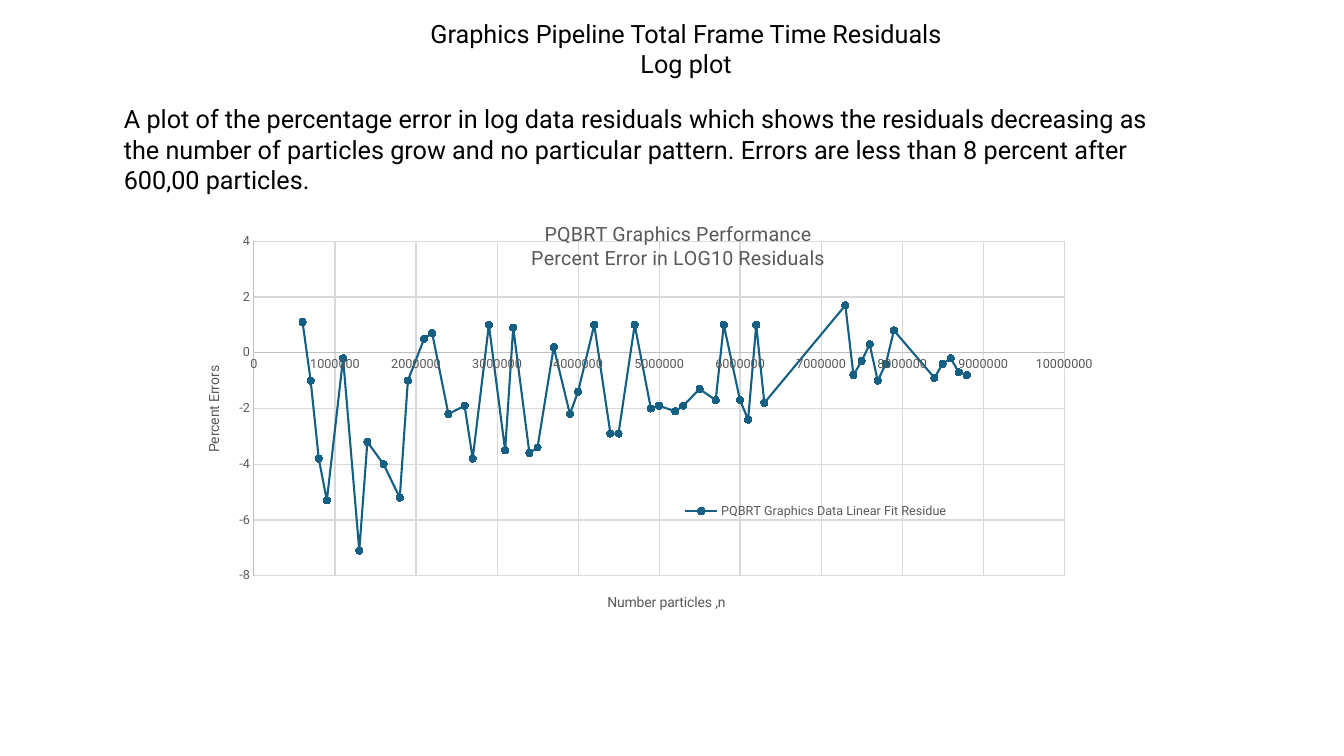
"""Build the slide with the log residual plot of graphics frame times."""
from dataclasses import dataclass

from lxml import etree
from pptx import Presentation
from pptx.chart.data import XyChartData
from pptx.dml.color import RGBColor
from pptx.enum.chart import (XL_CHART_TYPE, XL_LEGEND_POSITION,
                             XL_MARKER_STYLE, XL_TICK_MARK)
from pptx.enum.text import MSO_AUTO_SIZE, PP_ALIGN
from pptx.oxml.ns import qn
from pptx.util import Inches, Pt

SMOOTH = XL_CHART_TYPE.XY_SCATTER_SMOOTH
RIGHT = XL_LEGEND_POSITION.RIGHT
DOT = XL_MARKER_STYLE.CIRCLE
NO_TICK = XL_TICK_MARK.NONE
GROW = MSO_AUTO_SIZE.SHAPE_TO_FIT_TEXT
LEFT, MID = PP_ALIGN.LEFT, PP_ALIGN.CENTER
FACE = "Roboto"
BLACK, GREY, BLUE = "000000", "595959", "156082"
AXIS, GRID = "BFBFBF", "D9D9D9"
MILLION = 1_000_000

COUNTS = (0.6, 0.7, 0.8, 0.9, 1.1, 1.3, 1.4, 1.6, 1.8, 1.9,
          2.1, 2.2, 2.4, 2.6, 2.7, 2.9, 3.1, 3.2, 3.4, 3.5,
          3.7, 3.9, 4.0, 4.2, 4.4, 4.5, 4.7, 4.9, 5.0, 5.2,
          5.3, 5.5, 5.7, 5.8, 6.0, 6.1, 6.2, 6.3, 7.3, 7.4,
          7.5, 7.6, 7.7, 7.8, 7.9, 8.4, 8.5, 8.6, 8.7, 8.8)
ERRORS = (1.1, -1, -3.8, -5.3, -0.2, -7.1, -3.2, -4, -5.2, -1,
          0.5, 0.7, -2.2, -1.9, -3.8, 1, -3.5, 0.9, -3.6, -3.4,
          0.2, -2.2, -1.4, 1, -2.9, -2.9, 1, -2, -1.9, -2.1,
          -1.9, -1.3, -1.7, 1, -1.7, -2.4, 1, -1.8, 1.7, -0.8,
          -0.3, 0.3, -1, -0.4, 0.8, -0.9, -0.4, -0.2, -0.7, -0.8)


@dataclass
class Note:
    text: str
    box: tuple
    align: PP_ALIGN


@dataclass
class Scale:
    title: str
    low: float
    high: float
    step: float


NOTES = (
    Note("Graphics Pipeline Total Frame Time Residuals Log plot",
         (4.14, 0.13, 5.33, 0.71), MID),
    Note("A plot of the percentage error in log data residuals which shows "
         "the residuals decreasing as the number of particles grow and no "
         "particular pattern. Errors are less than 8 percent after "
         "600,00 particles.", (1.13, 0.98, 10.75, 1.01), LEFT),
)
COUNT_SCALE = Scale("Number particles ,n", 0, 10 * MILLION, MILLION)
ERROR_SCALE = Scale("Percent Errors", -8, 4, 2)
HEADING = ("PQBRT Graphics Performance", "Percent Error in LOG10 Residuals")
PLACES = {
    "c:chart/c:title": (0.39, 0.04),
    "c:chart/c:plotArea": (0.104, 0.095, 0.845, 0.781),
    ".//c:valAx[1]/c:title": (0.47, 0.91),
    ".//c:valAx[2]/c:title": (0.05, 0.38),
    "c:chart/c:legend": (0.54, 0.69, 0.3, 0.07),
}


def tint(code: str) -> RGBColor:
    return RGBColor.from_string(code)


def style(font, size: float, code: str) -> None:
    font.name, font.size, font.bold = FACE, Pt(size), False
    font.color.rgb = tint(code)


def stroke(line, code: str, width: float) -> None:
    line.color.rgb, line.width = tint(code), Pt(width)


def write(frame, lines: tuple, size: float, code: str, align=MID) -> None:
    for i, text in enumerate(lines):
        para = frame.add_paragraph() if i else frame.paragraphs[0]
        para.alignment = align
        run = para.add_run()
        run.text = text
        style(run.font, size, code)


def add_note(slide, note: Note) -> None:
    frame = slide.shapes.add_textbox(*map(Inches, note.box)).text_frame
    frame.word_wrap, frame.auto_size = True, GROW
    write(frame, (note.text,), 18, BLACK, note.align)


def set_axis(axis, scale: Scale) -> None:
    axis.minimum_scale, axis.maximum_scale = scale.low, scale.high
    axis.major_unit = scale.step
    axis.major_tick_mark = axis.minor_tick_mark = NO_TICK
    axis.has_major_gridlines = True
    stroke(axis.major_gridlines.format.line, GRID, 0.75)
    stroke(axis.format.line, AXIS, 0.75)
    style(axis.tick_labels.font, 9, GREY)
    axis.tick_labels.number_format = "General"
    axis.tick_labels.number_format_is_linked = False
    write(axis.axis_title.text_frame, (scale.title,), 10, GREY)


def place(part, spot: tuple) -> None:
    old = part.find(qn("c:layout"))
    if old is not None:
        part.remove(old)
    plot = part.tag == qn("c:plotArea")
    layout = etree.Element(qn("c:layout"))
    part.insert(0 if plot else 1, layout)
    manual = etree.SubElement(layout, qn("c:manualLayout"))
    rules = [("layoutTarget", "inner")] if plot else []
    rules += [("xMode", "edge"), ("yMode", "edge"), *zip("xywh", spot)]
    for name, val in rules:
        etree.SubElement(manual, qn("c:" + name), val=str(val))


def add_plot(slide) -> None:
    data = XyChartData()
    points = data.add_series("PQBRT Graphics Data Linear Fit Residue")
    for count, error in zip(COUNTS, ERRORS):
        points.add_data_point(round(count * MILLION), error)
    box = map(Inches, (1.53, 1.99, 9.51, 4.25))
    chart = slide.shapes.add_chart(SMOOTH, *box, data).chart
    style(chart.font, 10, BLACK)
    write(chart.chart_title.text_frame, HEADING, 14, GREY)
    chart.chart_title.include_in_layout = True
    set_axis(chart.category_axis, COUNT_SCALE)
    set_axis(chart.value_axis, ERROR_SCALE)
    chart.has_legend = True
    chart.legend.position = RIGHT
    chart.legend.include_in_layout = True
    style(chart.legend.font, 9, GREY)
    plot = chart.plots[0]
    plot.vary_by_categories = False
    curve = plot.series[0]
    curve.smooth = True
    stroke(curve.format.line, BLUE, 1.5)
    curve.marker.style, curve.marker.size = DOT, 5
    curve.marker.format.fill.solid()
    curve.marker.format.fill.fore_color.rgb = tint(BLUE)
    stroke(curve.marker.format.line, BLUE, 0.75)
    root = chart.element
    for query, spot in PLACES.items():
        place(root.xpath(query)[0], spot)
    root.xpath(".//c:valAx[2]/c:title//a:bodyPr")[0].set("rot", "-5400000")


def main() -> None:
    deck = Presentation()
    deck.slide_width, deck.slide_height = Inches(13.33), Inches(7.5)
    slide = deck.slides.add_slide(deck.slide_layouts[6])
    for note in NOTES:
        add_note(slide, note)
    add_plot(slide)
    deck.save("out.pptx")


if __name__ == "__main__":
    main()
